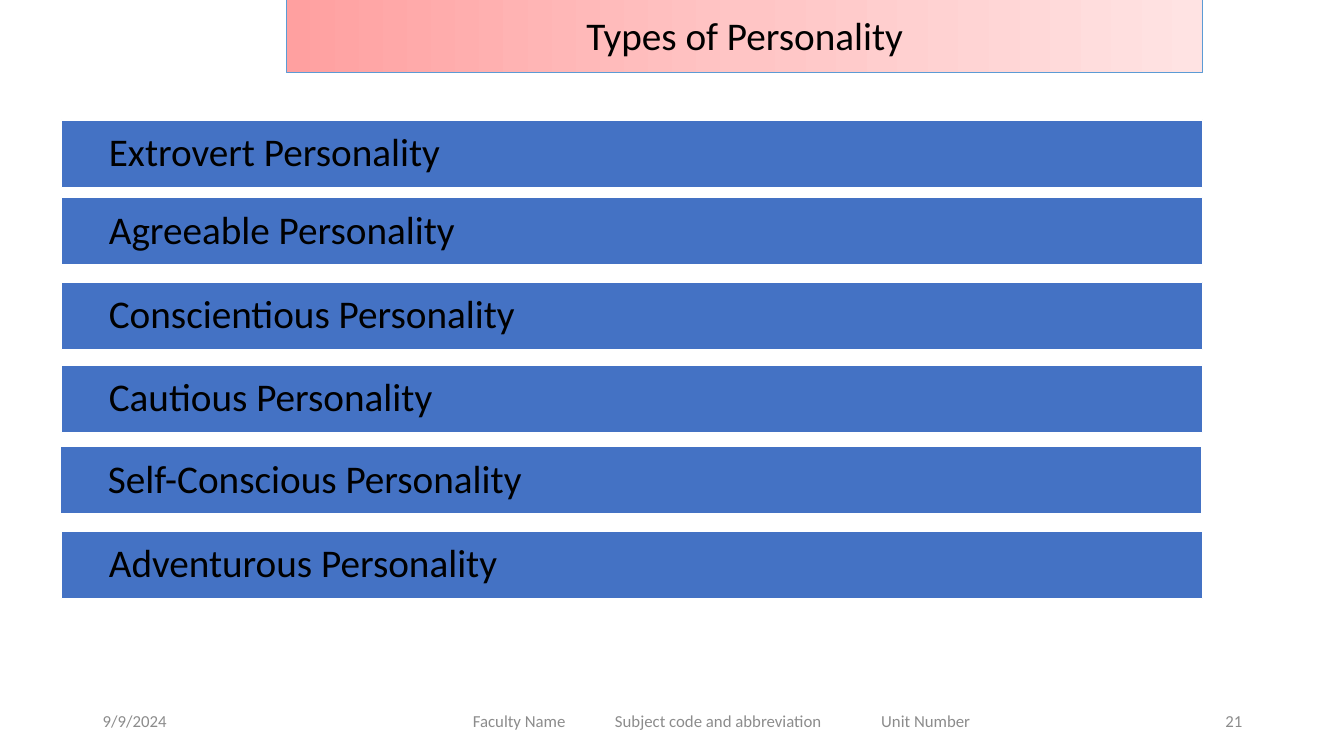
from copy import deepcopy

from pptx import Presentation
from pptx.dml.color import RGBColor
from pptx.enum.shapes import MSO_SHAPE
from pptx.enum.text import MSO_ANCHOR, PP_ALIGN
from pptx.oxml import parse_xml
from pptx.oxml.ns import nsdecls
from pptx.util import Inches, Pt

RECTANGLE = MSO_SHAPE.RECTANGLE
MIDDLE = MSO_ANCHOR.MIDDLE
LEFT, CENTER, RIGHT = PP_ALIGN.LEFT, PP_ALIGN.CENTER, PP_ALIGN.RIGHT


def rgb(color):
    return RGBColor.from_string(color)


def write(shape, text, size, color, align=LEFT):
    frame = shape.text_frame
    frame.word_wrap = True
    frame.vertical_anchor = MIDDLE
    frame.text = text
    paragraph = frame.paragraphs[0]
    paragraph.alignment = align
    for run in paragraph.runs:
        run.font.name = "Calibri"
        run.font.size = Pt(size)
        run.font.color.rgb = rgb(color)
    return paragraph


presentation = Presentation()
presentation.slide_width = Inches(13.33)
presentation.slide_height = Inches(7.5)
slide = presentation.slides.add_slide(presentation.slide_layouts[6])
shapes = slide.shapes

# Title banner with a three-stop gradient
banner = shapes.add_shape(RECTANGLE, Inches(2.84), Inches(-0.03), Inches(9.09), Inches(0.75))
banner.shadow.inherit = False
banner.fill.gradient()
banner.fill.gradient_angle = 0
first_stop = banner._element.spPr.xpath(".//a:gs")[0]
first_stop.addnext(deepcopy(first_stop))
gradient = [(0, "FFA0A0"), (0.5, "FFC5C5"), (1, "FFE3E3")]
for stop, (position, color) in zip(banner.fill.gradient_stops, gradient):
    stop.position = position
    stop.color.rgb = rgb(color)
banner.line.color.rgb = rgb("5B9BD5")
banner.line.width = Pt(0.5)
write(banner, "Types of Personality", 28, "000000", CENTER)

# Personality bars: left, top, name
personalities = [
    (0.61, 1.19, "Extrovert"),
    (0.61, 1.96, "Agreeable"),
    (0.61, 2.8, "Conscientious"),
    (0.61, 3.62, "Cautious"),
    (0.6, 4.43, "Self-Conscious"),
    (0.61, 5.27, "Adventurous"),
]
for left, top, personality in personalities:
    bar = shapes.add_shape(RECTANGLE, Inches(left), Inches(top), Inches(11.32), Inches(0.67))
    bar.shadow.inherit = False
    bar.fill.solid()
    bar.fill.fore_color.rgb = rgb("4472C4")
    bar.line.color.rgb = rgb("FFFFFF")
    bar.line.width = Pt(1)
    label = write(bar, f"{personality} Personality", 28, "000000")
    label.line_spacing = 0.9
    frame = bar.text_frame
    frame.margin_left = Inches(0.47)
    frame.margin_top = frame.margin_right = frame.margin_bottom = Inches(0.08)

# Footer: date, course details, slide number
footers = [
    (0.92, 3, "9/9/2024", LEFT),
    (4.42, 5.5, "Faculty Name\tSubject code and abbreviation\tUnit Number", LEFT),
    (9.42, 3, "21", RIGHT),
]
for left, width, text, align in footers:
    footer = shapes.add_textbox(Inches(left), Inches(6.95), Inches(width), Inches(0.4))
    entry = write(footer, text, 12, "8C8C8C", align)
    if "\t" in text:
        footer.text_frame.margin_left = Inches(0.27)
        tabs = "".join(f'<a:tab pos="{Inches(stop)}" algn="l"/>' for stop in (1.41, 4.05))
        entry._p.get_or_add_pPr().append(
            parse_xml(f'<a:tabLst {nsdecls("a")}>{tabs}</a:tabLst>'))

presentation.save("out.pptx")
